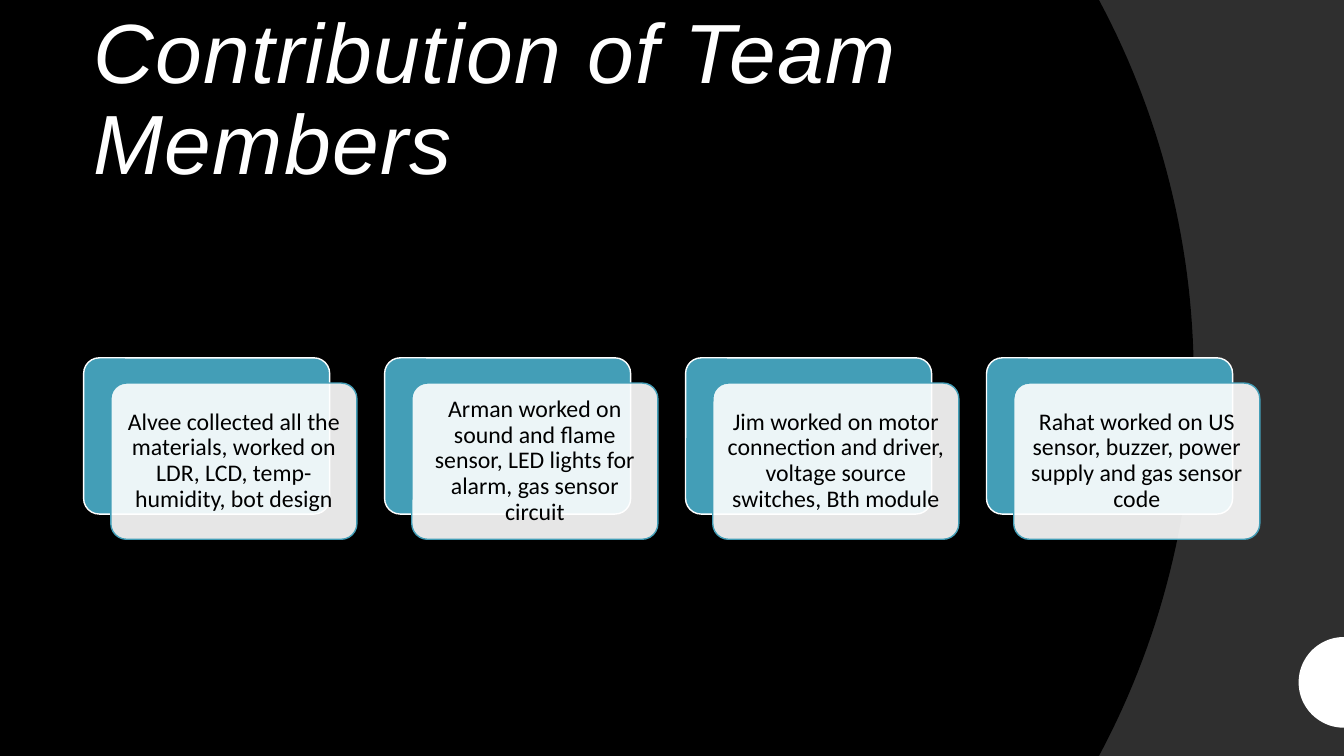
from dataclasses import dataclass
from math import asin, cos, pi, sin

from lxml.etree import SubElement
from pptx import Presentation
from pptx.dml.color import RGBColor as RGB
from pptx.enum.shapes import MSO_SHAPE as SHAPE
from pptx.enum.text import MSO_ANCHOR as ANCHOR, PP_ALIGN as ALIGN
from pptx.oxml.ns import qn
from pptx.util import Inches, Pt


@dataclass(frozen=True)
class Theme:
    """Colours, fonts and type sizes of the slide."""
    backdrop: RGB = RGB(0x2F, 0x2F, 0x2F)
    dark: RGB = RGB(0, 0, 0)
    light: RGB = RGB(255, 255, 255)
    accent: RGB = RGB(0x43, 0x9E, 0xB7)
    title_font: str = "Arial"
    body_font: str = "Calibri"
    title_size: float = 60
    body_size: float = 17


THEME = Theme()
WIDTH, HEIGHT = 13.33, 7.5
LEFT, CARD_TOP = 0.83, 3.55
COLUMN = 2.985
CARD_W, CARD_H = 2.44, 1.55
SHIFT_X, SHIFT_Y = 0.27, 0.25
CONTRIBUTIONS = (
    "Alvee collected all the materials, worked on LDR, LCD, temp-humidity, bot design",
    "Arman worked on sound and flame sensor, LED lights for alarm, gas sensor circuit",
    "Jim worked on motor connection and driver, voltage source switches, Bth module",
    "Rahat worked on US sensor, buzzer, power supply and gas sensor code",
)


def arc(cx, cy, radius, start, end, steps=60):
    """Return points along a circular arc, in inches."""
    angles = (start + (end - start) * i / steps for i in range(steps + 1))
    return [(cx + radius * cos(a), cy + radius * sin(a)) for a in angles]


def add_outline(s, points, color):
    """Draw a closed, filled outline through the points."""
    first, *rest = [(Inches(x), Inches(y)) for x, y in points]
    builder = s.shapes.build_freeform(*first)
    builder.add_line_segments(rest, close=True)
    sp = builder.convert_to_shape()
    sp.shadow.inherit = False
    sp.fill.solid()
    sp.fill.fore_color.rgb = color
    sp.line.fill.background()


def add_backdrop(s):
    """Draw the curved dark panel and the half disc at the right edge."""
    bulge, half = 0.94, HEIGHT / 2
    radius = (half ** 2 + bulge ** 2) / (2 * bulge)
    sweep = asin(half / radius)
    curve = arc(11.84 - radius, half, radius, -sweep, sweep)
    add_outline(s, [(0, 0), *curve, (0, HEIGHT)], THEME.dark)
    add_outline(s, arc(WIDTH, 6.77, 0.45, pi / 2, 3 * pi / 2), THEME.light)


def write(sp, text, font, size, color, anchor):
    """Fill a shape with one wrapped paragraph and return its run."""
    tf = sp.text_frame
    tf.text = text
    tf.word_wrap = True
    tf.vertical_anchor = anchor
    p = tf.paragraphs[0]
    p.line_spacing = 0.9
    r = p.runs[0]
    r.font.name, r.font.size = font, Pt(size)
    r.font.color.rgb = color
    return r


def add_title(s, text):
    """Add the italic, slightly spaced title."""
    sp = s.shapes.add_textbox(Inches(LEFT), Inches(0.46), Inches(WIDTH - 2 * LEFT), Inches(1.5))
    r = write(sp, text, THEME.title_font, THEME.title_size, THEME.light, ANCHOR.BOTTOM)
    r.font.italic = True
    r.font._element.set("spc", "100")


def add_panel(s, x, y, fill, line):
    """Add one rounded panel of the card size."""
    sp = s.shapes.add_shape(SHAPE.ROUNDED_RECTANGLE, Inches(x), Inches(y),
                            Inches(CARD_W), Inches(CARD_H))
    sp.adjustments[0] = 0.1
    sp.shadow.inherit = False
    sp.fill.solid()
    sp.fill.fore_color.rgb = fill
    sp.line.color.rgb = line
    sp.line.width = Pt(1)
    return sp


def add_card(s, column, text):
    """Add an accent panel with a translucent text panel in front."""
    x = LEFT + column * COLUMN
    add_panel(s, x, CARD_TOP, THEME.accent, THEME.light)
    sp = add_panel(s, x + SHIFT_X, CARD_TOP + SHIFT_Y, THEME.light, THEME.accent)
    color = sp.fill._xPr.find(qn("a:solidFill"))[0]
    SubElement(color, qn("a:alpha"), val="90000")
    write(sp, text, THEME.body_font, THEME.body_size, THEME.dark, ANCHOR.MIDDLE)
    tf = sp.text_frame
    tf.margin_left = tf.margin_right = tf.margin_top = tf.margin_bottom = Inches(0.1)
    tf.paragraphs[0].alignment = ALIGN.CENTER


def main():
    """Build and save the slide."""
    prs = Presentation()
    prs.slide_width, prs.slide_height = Inches(WIDTH), Inches(HEIGHT)
    s = prs.slides.add_slide(prs.slide_layouts[6])
    s.background.fill.solid()
    s.background.fill.fore_color.rgb = THEME.backdrop
    add_backdrop(s)
    add_title(s, "Contribution of Team Members")
    for column, text in enumerate(CONTRIBUTIONS):
        add_card(s, column, text)
    prs.save("out.pptx")


if __name__ == "__main__":
    main()
